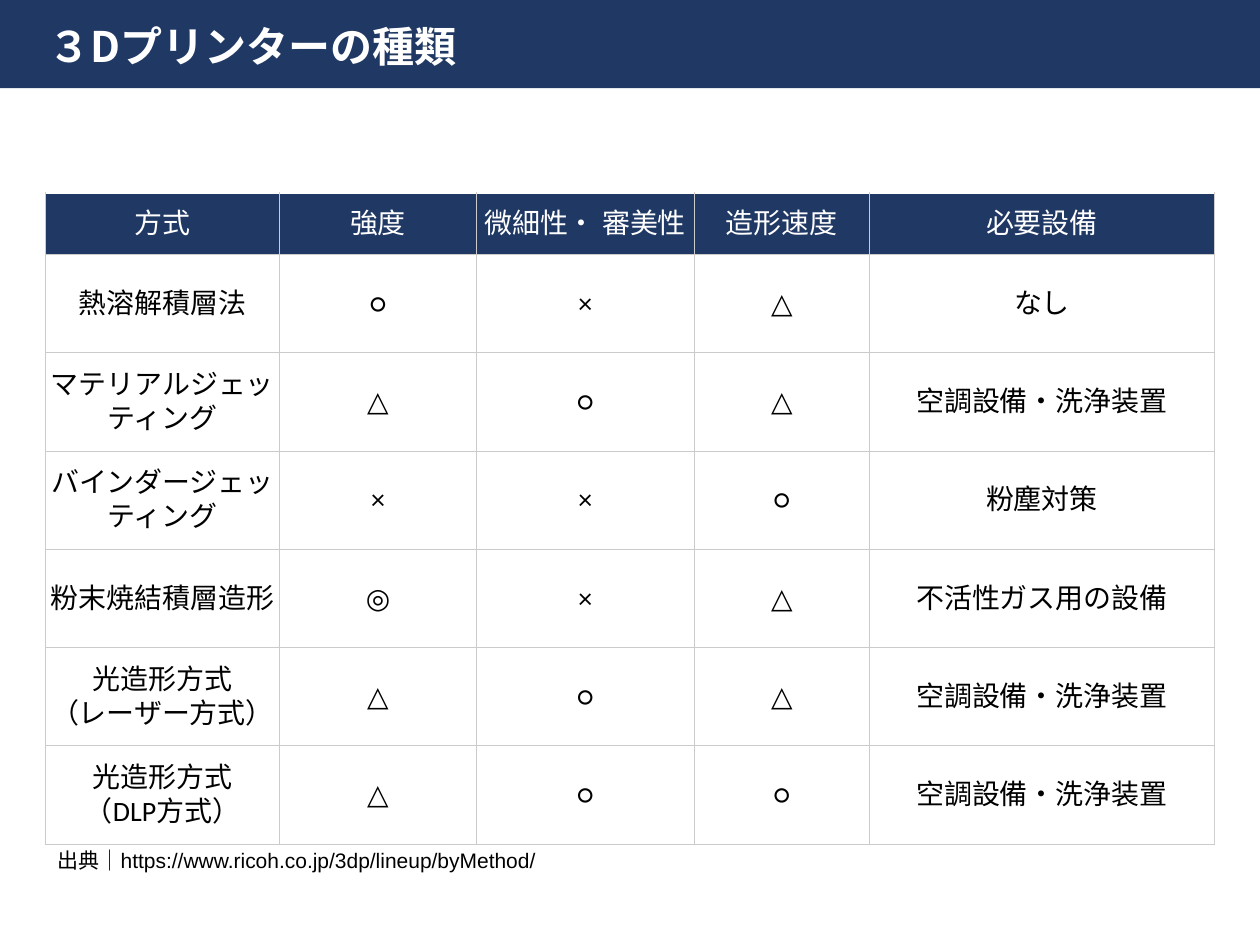
import pptx
import pptx.dml.color
import pptx.enum.shapes
import pptx.enum.text
import pptx.oxml.ns
import pptx.util
from lxml import etree
from pptx.util import Inches

COLORS = {
    "navy": "203864",
    "white": "FFFFFF",
    "black": "000000",
    "grid": "CBCBCB",
    "edge": "D0CECE",
}
TITLE_FORMAT = {"size": pptx.util.Pt(24), "bold": True, "name": "Noto Sans CJK JP"}
CELL_FORMAT = {"size": pptx.util.Pt(16), "name": "Calibri"}
SOURCE_FORMAT = {"size": pptx.util.Pt(12), "name": "Arial"}

COLUMN_WIDTHS = [1.86, 1.56, 1.73, 1.39, 2.74]
HEADER_HEIGHT = 0.49
METHOD_HEIGHT = 0.78
METHODS = [
    ["方式", "強度", "微細性・ 審美性", "造形速度", "必要設備"],
    ["熱溶解積層法", "○", "×", "△", "なし"],
    ["マテリアルジェッティング", "△", "○", "△", "空調設備・洗浄装置"],
    ["バインダージェッティング", "×", "×", "○", "粉塵対策"],
    ["粉末焼結積層造形", "◎", "×", "△", "不活性ガス用の設備"],
    ["光造形方式\n（レーザー方式）", "△", "○", "△", "空調設備・洗浄装置"],
    ["光造形方式\n（DLP方式）", "△", "○", "○", "空調設備・洗浄装置"],
]


def rgb(color):
    return pptx.dml.color.RGBColor.from_string(COLORS[color])


def add_child(parent, tag, **attributes):
    return etree.SubElement(parent, pptx.oxml.ns.qn(tag), **attributes)


def write_text(frame, text, font_format, color, align=None):
    """Fill a frame, one paragraph per line, with one font for all scripts."""
    frame.text = text
    for paragraph in frame.paragraphs:
        paragraph.alignment = align
        for run in paragraph.runs:
            run.font.color.rgb = rgb(color)
            for attribute, value in font_format.items():
                setattr(run.font, attribute, value)
            add_child(run._r.get_or_add_rPr(), "a:ea", typeface=font_format["name"])


def add_text(slide, bounds, text, font_format, color):
    frame = slide.shapes.add_textbox(*map(Inches, bounds)).text_frame
    frame.word_wrap = True
    write_text(frame, text, font_format, color)
    return frame


def add_title(slide):
    band = slide.shapes.add_shape(
        pptx.enum.shapes.MSO_SHAPE.RECTANGLE, 0, 0, Inches(10), Inches(0.7))
    band.shadow.inherit = False
    band.fill.solid()
    band.fill.fore_color.rgb = rgb("navy")
    band.line.fill.background()

    title = add_text(slide, (0.29, 0.06, 9.1, 0.65), "３Dプリンターの種類",
                     TITLE_FORMAT, "white")
    title.vertical_anchor = pptx.enum.text.MSO_ANCHOR.MIDDLE
    title.paragraphs[0].line_spacing = 0.9


def add_borders(cell, borders):
    """Draw borders given as side: (color, points), in the order L, R, T, B."""
    properties = cell._tc.get_or_add_tcPr()
    for side, (color, points) in borders.items():
        line = add_child(properties, f"a:ln{side}", w=str(pptx.util.Pt(points)))
        fill = add_child(line, "a:solidFill")
        add_child(fill, "a:srgbClr", val=COLORS[color])


def format_cell(cell, text, is_header, is_last):
    grid = ("grid", 0.5)
    borders = {"L": grid, "R": ("edge", 1) if is_last else grid, "T": grid, "B": grid}
    if is_header:
        del borders["T"]
    add_borders(cell, borders)
    cell.fill.solid()
    cell.fill.fore_color.rgb = rgb("navy" if is_header else "white")
    for side in ("left", "right", "top", "bottom"):
        setattr(cell, f"margin_{side}", 0)
    cell.vertical_anchor = pptx.enum.text.MSO_ANCHOR.MIDDLE
    write_text(cell.text_frame, text, CELL_FORMAT,
               "white" if is_header else "black", pptx.enum.text.PP_ALIGN.CENTER)


def add_comparison(slide):
    heights = [HEADER_HEIGHT] + [METHOD_HEIGHT] * (len(METHODS) - 1)
    table = slide.shapes.add_table(
        len(heights), len(COLUMN_WIDTHS), Inches(0.36), Inches(1.53),
        Inches(sum(COLUMN_WIDTHS)), Inches(sum(heights))).table
    table.horz_banding = False
    for column, width in zip(table.columns, COLUMN_WIDTHS):
        column.width = Inches(width)
    for row, height in zip(table.rows, heights):
        row.height = Inches(height)
    for r, method in enumerate(METHODS):
        for c, text in enumerate(method):
            format_cell(table.cell(r, c), text, r == 0, c == len(method) - 1)


def main():
    deck = pptx.Presentation()
    deck.slide_width = Inches(10)
    deck.slide_height = Inches(7.5)
    slide = deck.slides.add_slide(deck.slide_layouts[6])
    add_title(slide)
    add_comparison(slide)
    source = add_text(slide, (0.36, 6.68, 7.53, 0.3),
                      "出典｜https://www.ricoh.co.jp/3dp/lineup/byMethod/",
                      SOURCE_FORMAT, "black")
    source.auto_size = pptx.enum.text.MSO_AUTO_SIZE.SHAPE_TO_FIT_TEXT
    deck.save("out.pptx")


if __name__ == "__main__":
    main()
